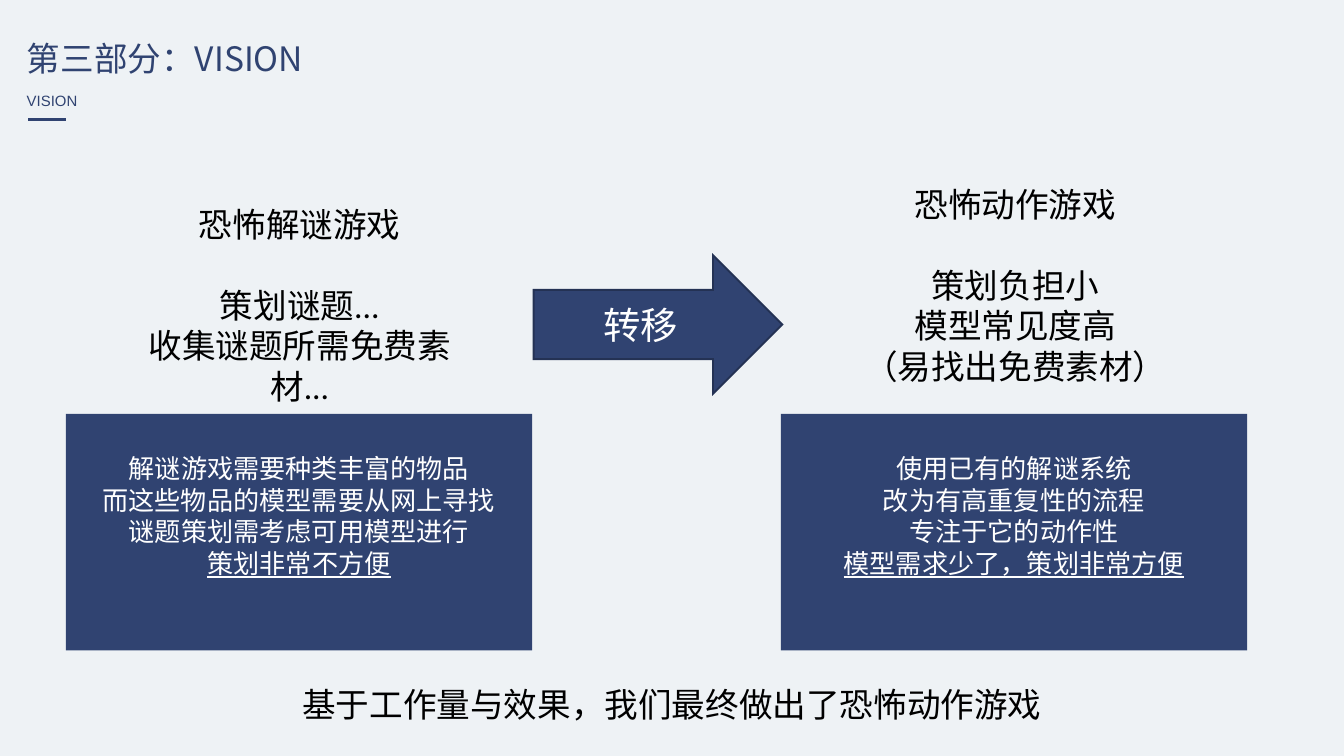
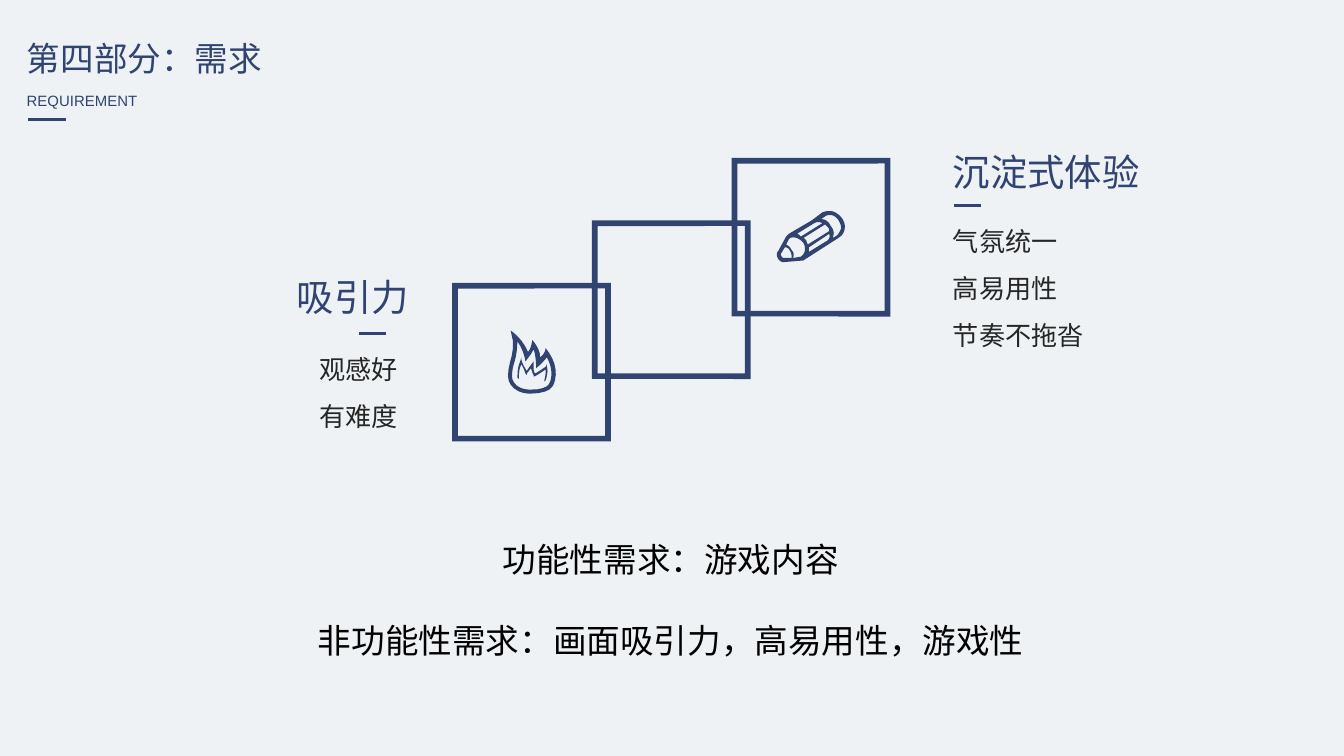
from lxml import etree
from pptx import Presentation
from pptx.dml.color import RGBColor
from pptx.enum.shapes import MSO_CONNECTOR, MSO_SHAPE
from pptx.enum.text import MSO_ANCHOR, MSO_AUTO_SIZE, PP_ALIGN
from pptx.oxml.ns import qn
from pptx.util import Inches, Pt

LEFT, CENTER, RIGHT = PP_ALIGN.LEFT, PP_ALIGN.CENTER, PP_ALIGN.RIGHT
TOP, MIDDLE = MSO_ANCHOR.TOP, MSO_ANCHOR.MIDDLE
COLORS = {"bg": "EEF2F5", "navy": "304371", "edge": "243254",
          "white": "FFFFFF", "black": "000000", "body": "262626"}
CJK, LATIN, BODY = "Noto Sans CJK SC", "Arial", "Calibri"
TWO_CONTENT = 3
BLANK_LINE = 21.6
UNITS = 1000  # freeform units per inch

# Each option: list box, list lines, panel left, panel lines
OPTIONS = [
    ((0.79, 1.47, 2.88, 1.31),
     ["恐怖解谜游戏", "策划谜题...", "收集谜题所需免费素材..."],
     0.49,
     ["解谜游戏需要种类丰富的物品", "而这些物品的模型需要从网上寻找",
      "谜题策划需考虑可用模型进行", "策划非常不方便"]),
    ((6.3, 1.32, 2.51, 1.61),
     ["恐怖动作游戏", "策划负担小", "模型常见度高", "（易找出免费素材）"],
     5.81,
     ["使用已有的解谜系统", "改为有高重复性的流程",
      "专注于它的动作性", "模型需求少了，策划非常方便"]),
]
CONCLUSION = "基于工作量与效果，我们最终做出了恐怖动作游戏"

# Each quality: heading, heading box, rule left, list box, alignment, lines
QUALITIES = [
    ("吸引力", (2.11, 1.99, 1.03, 0.44), 2.67,
     (2.11, 2.46, 0.95, 0.81), RIGHT, ["观感好", "有难度"]),
    ("沉淀式体验", (6.99, 1.06, 1.59, 0.44), 7.1,
     (6.99, 1.51, 1.59, 1.16), LEFT, ["气氛统一", "高易用性", "节奏不拖沓"]),
]
NEEDS = ["功能性需求：游戏内容", "非功能性需求：画面吸引力，高易用性，游戏性"]

# Icon contours: a start point, then lines (2 numbers) and cubic curves (6)
FLAME = [
    [(4.1, 2.82), (4.09, 2.86, 4.08, 2.9, 3.94, 2.9), (3.86, 2.9, 3.81, 2.85, 3.81, 2.8),
     (3.81, 2.76, 3.82, 2.72, 3.83, 2.69), (3.84, 2.65, 3.85, 2.6, 3.85, 2.54),
     (3.9, 2.61, 3.91, 2.69, 3.91, 2.69), (3.91, 2.69, 3.96, 2.63, 3.97, 2.6),
     (3.98, 2.62, 3.99, 2.68, 3.99, 2.74), (3.99, 2.74, 4.03, 2.71, 4.07, 2.66),
     (4.1, 2.71, 4.11, 2.77, 4.1, 2.82)],
    [(4.06, 2.59), (4.06, 2.63, 4.02, 2.66, 4.02, 2.66), (4.02, 2.59, 3.96, 2.53, 3.96, 2.53),
     (3.96, 2.53, 3.96, 2.58, 3.93, 2.62), (3.89, 2.52, 3.8, 2.46, 3.8, 2.46),
     (3.85, 2.62, 3.78, 2.68, 3.78, 2.8), (3.78, 2.87, 3.85, 2.93, 3.94, 2.93),
     (4.09, 2.93, 4.12, 2.88, 4.13, 2.83), (4.15, 2.75, 4.12, 2.66, 4.06, 2.59)],
]
FLAME_CORE = [
    [(4.07, 2.71), (4.06, 2.73), (4.04, 2.74, 4.02, 2.76, 3.98, 2.78),
     (3.97, 2.76, 3.97, 2.75, 3.97, 2.72), (3.97, 2.69), (3.94, 2.73), (3.92, 2.76),
     (3.9, 2.73, 3.89, 2.71, 3.88, 2.68), (3.88, 2.66), (3.87, 2.69),
     (3.86, 2.72, 3.85, 2.74, 3.85, 2.81), (3.86, 2.82), (3.86, 2.81),
     (3.86, 2.76, 3.87, 2.73, 3.88, 2.71), (3.89, 2.73, 3.9, 2.75, 3.91, 2.78),
     (3.92, 2.79), (3.92, 2.78), (3.95, 2.74), (3.96, 2.76, 3.96, 2.78, 3.97, 2.79),
     (3.97, 2.8), (3.98, 2.8), (4.02, 2.78, 4.04, 2.76, 4.06, 2.75),
     (4.06, 2.77, 4.06, 2.8, 4.05, 2.83), (4.05, 2.84), (4.06, 2.83),
     (4.07, 2.8, 4.08, 2.76, 4.07, 2.73)],
]
PENCIL = [
    [(6.23, 1.75), (6.2, 1.77), (6.2, 1.76), (6.21, 1.73, 6.2, 1.7, 6.18, 1.68),
     (6.17, 1.65, 6.14, 1.63, 6.11, 1.63), (6.14, 1.61), (6.15, 1.6, 6.17, 1.6, 6.19, 1.6),
     (6.21, 1.61, 6.23, 1.62, 6.24, 1.64), (6.25, 1.66, 6.26, 1.68, 6.26, 1.7),
     (6.25, 1.72, 6.24, 1.74, 6.23, 1.75)],
    [(5.9, 1.92), (5.91, 1.9, 5.91, 1.88, 5.89, 1.86), (5.88, 1.84, 5.87, 1.83, 5.85, 1.82),
     (5.87, 1.78), (5.88, 1.77), (5.91, 1.76, 5.95, 1.77, 5.98, 1.81),
     (6, 1.85, 5.99, 1.89, 5.96, 1.91)],
    [(5.84, 1.92), (5.83, 1.92), (5.82, 1.92, 5.81, 1.9, 5.81, 1.89), (5.84, 1.84),
     (5.86, 1.84, 5.87, 1.85, 5.88, 1.87), (5.89, 1.88, 5.89, 1.9, 5.89, 1.92)],
    [(5.96, 1.76), (5.95, 1.75, 5.94, 1.74, 5.93, 1.74), (6.06, 1.66),
     (6.08, 1.65, 6.1, 1.65, 6.12, 1.66)],
    [(6.01, 1.82), (6.01, 1.81, 6, 1.8, 6, 1.79), (5.98, 1.77), (6.14, 1.67),
     (6.16, 1.69), (6.17, 1.7, 6.17, 1.71, 6.17, 1.72)],
    [(6.02, 1.87), (6.02, 1.84), (6.17, 1.74), (6.18, 1.76, 6.17, 1.79, 6.14, 1.8),
     (6.01, 1.88)],
    [(6.27, 1.63), (6.25, 1.6, 6.22, 1.58, 6.19, 1.57), (6.17, 1.57, 6.14, 1.57, 6.12, 1.58),
     (6.04, 1.64), (5.87, 1.74), (5.86, 1.75, 5.85, 1.76, 5.85, 1.76), (5.79, 1.87),
     (5.79, 1.87, 5.78, 1.88, 5.78, 1.89), (5.78, 1.91, 5.79, 1.94, 5.82, 1.95),
     (5.84, 1.95), (5.96, 1.94), (5.97, 1.94, 5.98, 1.94, 5.99, 1.93), (6.24, 1.77),
     (6.29, 1.74, 6.3, 1.68, 6.27, 1.63)],
]


def rgb(name):
    return RGBColor.from_string(COLORS[name])


def write(tf, lines, size, color, font=BODY, align=LEFT, anchor=TOP, spacing=None,
          gap=0, wrap=True, underline_last=False):
    """Fill a text frame; gap is the space in points before the second line."""
    tf.word_wrap = wrap
    tf.auto_size = MSO_AUTO_SIZE.NONE
    tf.vertical_anchor = anchor
    for i, line in enumerate(lines):
        p = tf.paragraphs[0] if i == 0 else tf.add_paragraph()
        pPr = p._p.get_or_add_pPr()
        pPr.set("marL", "0")
        pPr.set("indent", "0")
        etree.SubElement(pPr, qn("a:buNone"))
        p.alignment = align
        p.space_before = Pt(gap if i == 1 else 0)
        if spacing:
            p.line_spacing = spacing
        r = p.add_run()
        r.text = line
        r.font.size, r.font.name = Pt(size), font
        r.font.color.rgb = rgb(color)
        if underline_last and i == len(lines) - 1:
            r.font.underline = True


def add_text(s, box, lines, size, color, **style):
    tb = s.shapes.add_textbox(*map(Inches, box))
    write(tb.text_frame, lines, size, color, **style)


def fill_placeholder(ph, box, lines, size, color, **style):
    ph.left, ph.top, ph.width, ph.height = map(Inches, box)
    write(ph.text_frame, lines, size, color, **style)


def paint(shape, fill=None, line=None, width=1):
    shape.shadow.inherit = False
    if fill:
        shape.fill.solid()
        shape.fill.fore_color.rgb = rgb(fill)
    else:
        shape.fill.background()
    if line:
        shape.line.color.rgb = rgb(line)
        shape.line.width = Pt(width)
        ln = shape._element.spPr.find(qn("a:ln"))
        etree.SubElement(ln, qn("a:miter"), lim="800000")
    else:
        shape.line.fill.background()


def add_block(s, kind, box, **look):
    sp = s.shapes.add_shape(kind, *map(Inches, box))
    paint(sp, **look)
    return sp


def add_rule(s, x, y, length):
    c = s.shapes.add_connector(MSO_CONNECTOR.STRAIGHT, Inches(x), Inches(y),
                               Inches(x + length), Inches(y))
    c.line.color.rgb = rgb("navy")
    c.line.width = Pt(1.5)
    etree.SubElement(c._element.spPr, qn("a:effectLst"))


def flatten(contour, steps=6):
    """Turn a contour's lines and cubic curves into points in freeform units."""
    points = [contour[0]]
    for seg in contour[1:]:
        if len(seg) == 2:
            points.append(seg)
            continue
        start, a, b, end = points[-1], seg[:2], seg[2:4], seg[4:]
        for k in range(1, steps + 1):
            t = k / steps
            u = 1 - t
            points.append(tuple(
                u**3 * start[i] + 3 * u * u * t * a[i] + 3 * u * t * t * b[i] + t**3 * end[i]
                for i in (0, 1)))
    return [(round(x * UNITS), round(y * UNITS)) for x, y in points]


def add_icon(s, contours):
    outlines = [flatten(c) for c in contours]
    builder = s.shapes.build_freeform(*outlines[0][0], scale=Inches(1) / UNITS)
    for i, points in enumerate(outlines):
        if i:
            builder.move_to(*points[0])
        builder.add_line_segments(points[1:], close=True)
    paint(builder.convert_to_shape(), fill="navy")


def add_slide(prs, title, title_width, subtitle, subtitle_width):
    s = prs.slides.add_slide(prs.slide_layouts[TWO_CONTENT])
    s.background.fill.solid()
    s.background.fill.fore_color.rgb = rgb("bg")
    fill_placeholder(s.shapes.title, (0.1, 0.23, title_width, 0.4), [title],
                     18, "navy", font=CJK, wrap=False)
    add_text(s, (0.1, 0.63, subtitle_width, 0.23), [subtitle],
             8, "navy", font=LATIN, wrap=False)
    add_rule(s, 0.21, 0.89, 0.28)
    return s


def build_vision(prs):
    s = add_slide(prs, "第三部分：VISION", 2.32, "VISION", 0.58)
    for idx, (box, lines, panel_x, panel_lines) in enumerate(OPTIONS, 1):
        fill_placeholder(s.placeholders[idx], box, lines, 18, "black",
                         align=CENTER, gap=BLANK_LINE)
        add_block(s, MSO_SHAPE.RECTANGLE, (panel_x, 3.08, 3.47, 1.76), fill="navy")
        add_text(s, (panel_x, 3.32, 3.47, 1.04), panel_lines, 14, "white",
                 align=CENTER, underline_last=True)
    arrow = add_block(s, MSO_SHAPE.RIGHT_ARROW, (3.97, 1.9, 1.85, 1.03),
                      fill="navy", line="edge")
    write(arrow.text_frame, ["转移"], 20, "white", align=CENTER, anchor=MIDDLE)
    add_text(s, (2.15, 5.04, 5.7, 0.4), [CONCLUSION], 18, "black",
             align=CENTER, wrap=False)


def build_requirement(prs):
    s = add_slide(prs, "第四部分：需求", 2.02, "REQUIREMENT", 1.02)
    for i in range(3):
        box = (3.15 + 1.04 * i, 1.89 - 0.465 * i, 1.61, 1.61)
        frame = add_block(s, MSO_SHAPE.DIAMOND, box, line="navy", width=3)
        frame.rotation = 315
    for contours in (FLAME, FLAME_CORE, PENCIL):
        add_icon(s, contours)
    for idx, (heading, head_box, rule_x, box, align, lines) in enumerate(QUALITIES, 1):
        add_text(s, head_box, [heading], 20, "navy", font=CJK, wrap=False)
        fill_placeholder(s.placeholders[idx], box, lines, 14, "body",
                         align=align, spacing=1.5)
        add_rule(s, rule_x, box[1] + 0.02, 0.2)
    add_text(s, (2.24, 3.96, 5.5, 1.01), NEEDS, 18, "black",
             align=CENTER, gap=BLANK_LINE, wrap=False)


def main():
    prs = Presentation()
    prs.slide_width = Inches(10)
    prs.slide_height = prs.slide_width * 9 // 16
    build_vision(prs)
    build_requirement(prs)
    prs.save("out.pptx")


if __name__ == "__main__":
    main()
